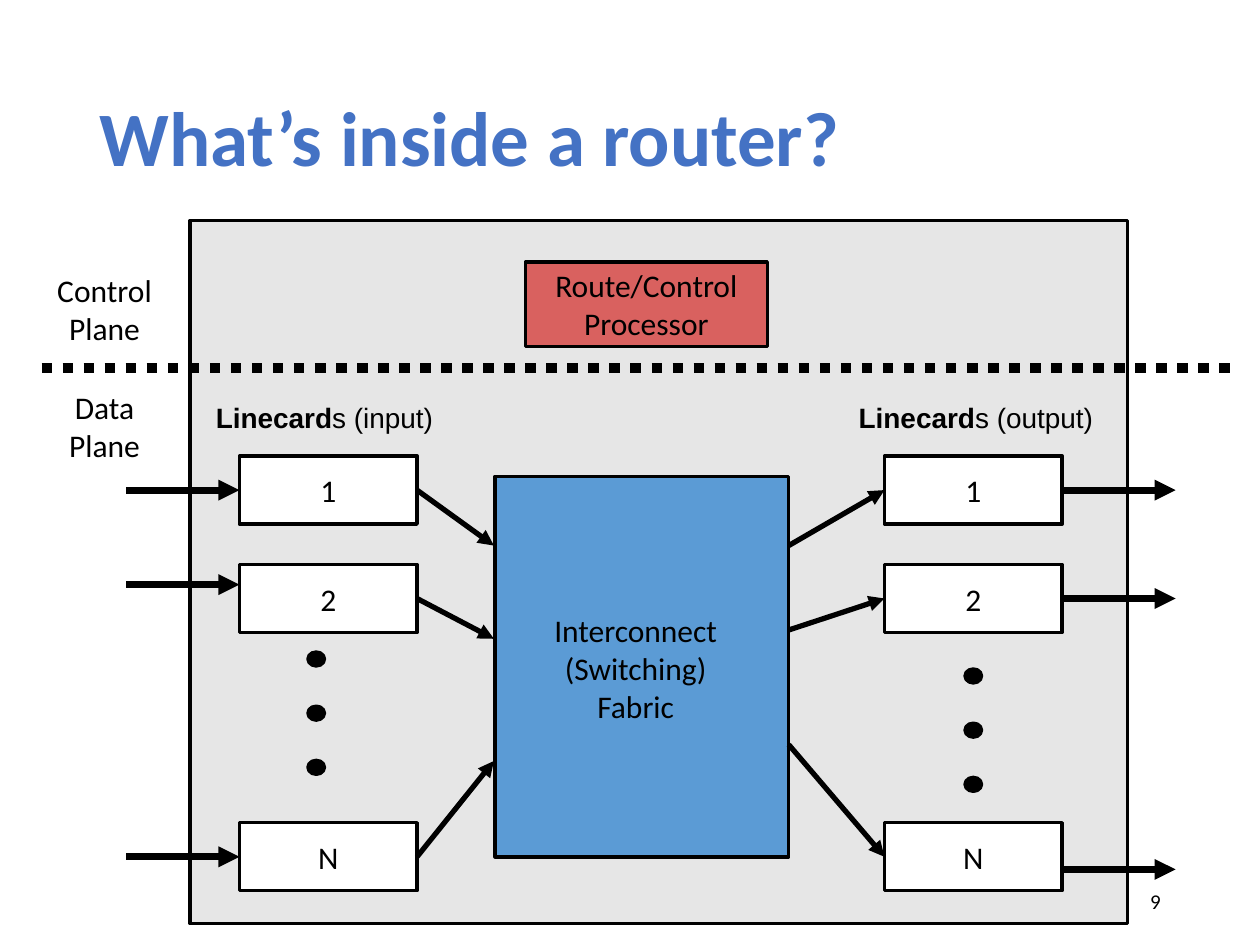
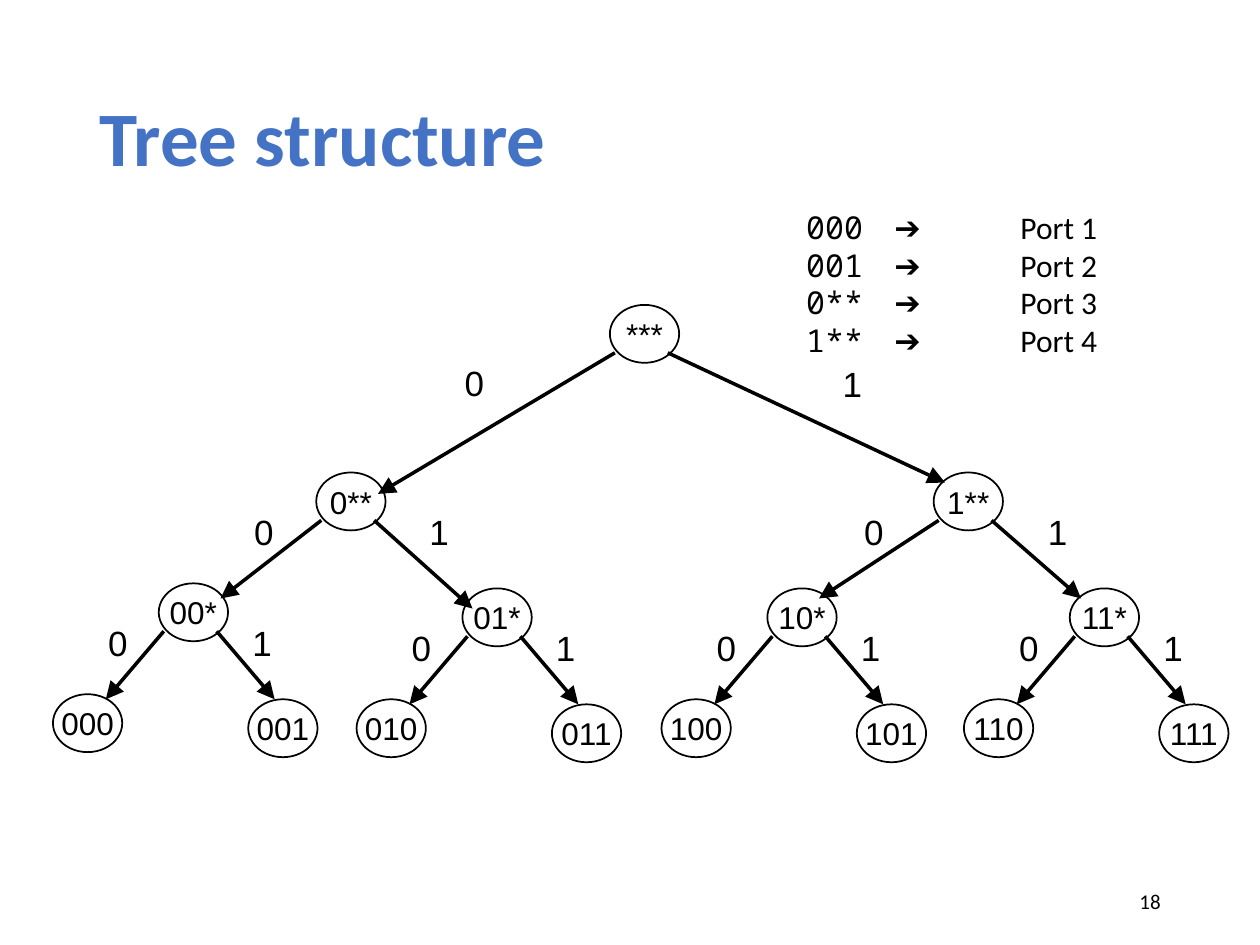
from dataclasses import dataclass

from lxml import etree
from pptx import Presentation
from pptx.dml.color import RGBColor
from pptx.enum.dml import MSO_LINE
from pptx.enum.shapes import MSO_CONNECTOR, MSO_SHAPE
from pptx.enum.text import MSO_ANCHOR, PP_ALIGN
from pptx.oxml.ns import qn
from pptx.util import Inches, Pt

RECTANGLE = MSO_SHAPE.RECTANGLE
ELLIPSE = MSO_SHAPE.OVAL
STRAIGHT = MSO_CONNECTOR.STRAIGHT
DOTTED = MSO_LINE.ROUND_DOT
LEFT, CENTER, RIGHT = PP_ALIGN.LEFT, PP_ALIGN.CENTER, PP_ALIGN.RIGHT
TOP, MIDDLE = MSO_ANCHOR.TOP, MSO_ANCHOR.MIDDLE


@dataclass(frozen=True)
class Theme:
    ink: str = "000000"
    paper: str = "FFFFFF"
    title: str = "4472C4"
    chassis: str = "E6E6E6"
    processor: str = "D9615F"
    fabric: str = "5B9BD5"
    body_font: str = "Calibri"
    label_font: str = "Arial"
    code_font: str = "Noto Sans Mono"
    title_size: int = 44
    bit_size: int = 20
    body_size: int = 18
    caption_size: int = 16
    number_size: int = 12


theme = Theme()

deck = Presentation()
deck.slide_width = Inches(10)
deck.slide_height = Inches(7.5)
COLUMN = deck.slide_width / 100
ROW = deck.slide_height / 75


def put_text(page, text, area, *, shape=None, fill=None, outline=2,
             font=theme.body_font, size=theme.body_size, color=theme.ink,
             bold=False, align=CENTER, anchor=TOP, wrap=True, spacing=None, tabs=()):
    left, top, width, height = area
    place = (round(left * COLUMN), round(top * ROW),
             round(width * COLUMN), round(height * ROW))
    if shape is None:
        box = page.shapes.add_textbox(*place)
    else:
        box = page.shapes.add_shape(shape, *place)
        box.shadow.inherit = False
        box.fill.solid()
        box.fill.fore_color.rgb = RGBColor.from_string(fill)
        box.line.color.rgb = RGBColor.from_string(theme.ink)
        box.line.width = Pt(outline)
    frame = box.text_frame
    frame.word_wrap = wrap
    frame.vertical_anchor = anchor
    paragraphs = text
    if isinstance(text, str):
        paragraphs = [[(line, {})] for line in text.split("\n")] if text else []
    for index, spans in enumerate(paragraphs):
        para = frame.add_paragraph() if index else frame.paragraphs[0]
        para.alignment = align
        if spacing:
            para.line_spacing = spacing
        if tabs:
            stops = etree.SubElement(para._p.get_or_add_pPr(), qn("a:tabLst"))
            for stop in tabs:
                etree.SubElement(stops, qn("a:tab"), pos=str(round(stop * COLUMN)), algn="l")
        for words, change in spans:
            span = para.add_run()
            span.text = words
            span.font.name = change.get("font", font)
            span.font.size = Pt(size)
            span.font.bold = change.get("bold", bold)
            span.font.color.rgb = RGBColor.from_string(color)


def draw_line(page, start, end, width, head=None, dash=None):
    line = page.shapes.add_connector(
        STRAIGHT, round(start[0] * COLUMN), round(start[1] * ROW),
        round(end[0] * COLUMN), round(end[1] * ROW))
    line.line.color.rgb = RGBColor.from_string(theme.ink)
    line.line.width = Pt(width)
    if dash:
        line.line.dash_style = dash
    properties = line._element.spPr
    if head:
        etree.SubElement(properties.find(qn("a:ln")), qn("a:tailEnd"),
                         type="triangle", w=head, len=head)
    etree.SubElement(properties, qn("a:effectLst"))


pages = []
for title, number in (("What’s inside a router?", "9"), ("Tree structure", "18")):
    page = deck.slides.add_slide(deck.slide_layouts[6])
    put_text(page, title, (6.9, 4, 86.2, 14.5), size=theme.title_size, color=theme.title,
             bold=True, align=LEFT, anchor=MIDDLE, spacing=0.9)
    pages.append((page, number))
router, tree = (page for page, number in pages)

put_text(router, "", (15.1, 17.5, 74.4, 55.8), shape=RECTANGLE, fill=theme.chassis)
put_text(router, "", (39.3, 37.8, 23.3, 30.2), shape=RECTANGLE, fill=theme.fabric)
put_text(router, "Interconnect\n(Switching)\nFabric", (41.9, 48, 17.1, 10.1), wrap=False)
put_text(router, "Route/Control\nProcessor", (41.7, 20.8, 19.2, 6.7),
         shape=RECTANGLE, fill=theme.processor, anchor=MIDDLE, wrap=False)

for side, card_left, caption_left, dot_left, dot_top in (
        ("input", 19, 13.2, 24.45, 51.75), ("output", 70.2, 64.9, 76.6, 53.1)):
    put_text(router, [[("Linecard", {"bold": True}), (f"s ({side})", {})]],
             (caption_left, 31.3, 25.1, 3.7), font=theme.label_font, size=theme.caption_size)
    for name, card_top in (("1", 36.2), ("2", 44.8), ("N", 65.3)):
        put_text(router, name, (card_left, card_top, 14.1, 5.4), shape=RECTANGLE,
                 fill=theme.paper, anchor=MIDDLE, wrap=False)
    for step in range(3):
        put_text(router, "", (dot_left, dot_top + 4.3 * step, 1.3, 1.1),
                 shape=ELLIPSE, fill=theme.ink)

for card_row, input_row, output_row, entry_row, exit_row in (
        (38.9, 38.9, 38.9, 43.3, 43.3),
        (47.5, 46.4, 47.5, 50.7, 50),
        (68, 68, 69, 60.4, 59.1)):
    draw_line(router, (10, input_row), (19, input_row), 4, "med")
    draw_line(router, (33.1, card_row), (39.2, entry_row), 3, "med")
    draw_line(router, (62.6, exit_row), (70.2, card_row), 3, "med")
    draw_line(router, (84.3, output_row), (93.3, output_row), 4, "med")

draw_line(router, (3.3, 29.2), (98.3, 29.2), 6, dash=DOTTED)
for plane, top in (("Control\nPlane", 21), ("Data\nPlane", 30.3)):
    put_text(router, plane, (3.3, top, 10, 7.1))

nodes = []
branches = []
for name, left, top in (("00*", 12.6, 46.3), ("01*", 36.7, 46.7),
                        ("10*", 60.9, 46.7), ("11*", 84.9, 46.7)):
    nodes += [(name, left, top),
              (name.replace("*", "0"), left - 8.4, top + 8.8),
              (name.replace("*", "1"), left + 7.1, top + 9.2)]
    branches += [("0", left, top, (left - 4.2, top + 9.2), (left - 5.9, top + 2.5)),
                 ("1", left, top, (left + 9.2, top + 9.2), (left + 5.55, top + 2.5))]

for name, left, top, zero_end, zero_label, one_end, one_label in (
        ("0**", 25.1, 37.5, (17.5, 47.5), (18.3, 40), (37.5, 48.3), (32.2, 40)),
        ("1**", 74.1, 37.5, (65, 47.5), (66.7, 40), (85.8, 47.5), (81.3, 40)),
        ("***", 48.4, 24.2, (30, 39.2), (35, 28.2), (75, 38.3), (65, 28.3))):
    nodes.append((name, left, top))
    branches += [("0", left, top, zero_end, zero_label),
                 ("1", left, top, one_end, one_label)]

for name, left, top in nodes:
    put_text(tree, name, (left, top, 5.5, 4.6), shape=ELLIPSE, fill=theme.paper, outline=1,
             font=theme.label_font, anchor=MIDDLE, wrap=False)
for bit, left, top, end, label in branches:
    offset = 0.4 if bit == "0" else 4.6
    draw_line(tree, (left + offset, top + 3.8), end, 2, "lg")
    put_text(tree, bit, (*label, 5.3, 4.3), font=theme.label_font, size=theme.bit_size)

routes = [[(f"{prefix}\t", {"font": theme.code_font}),
           ("➔\t", {"font": theme.label_font}),
           (f"Port {port}", {})]
          for port, prefix in enumerate(("000", "001", "0**", "1**"), 1)]
put_text(tree, routes, (63, 16, 32.8, 13), align=LEFT, tabs=(7, 17))

for page, number in pages:
    put_text(page, number, (70.6, 69.5, 22.5, 4), size=theme.number_size,
             align=RIGHT, anchor=MIDDLE)

deck.save("out.pptx")
